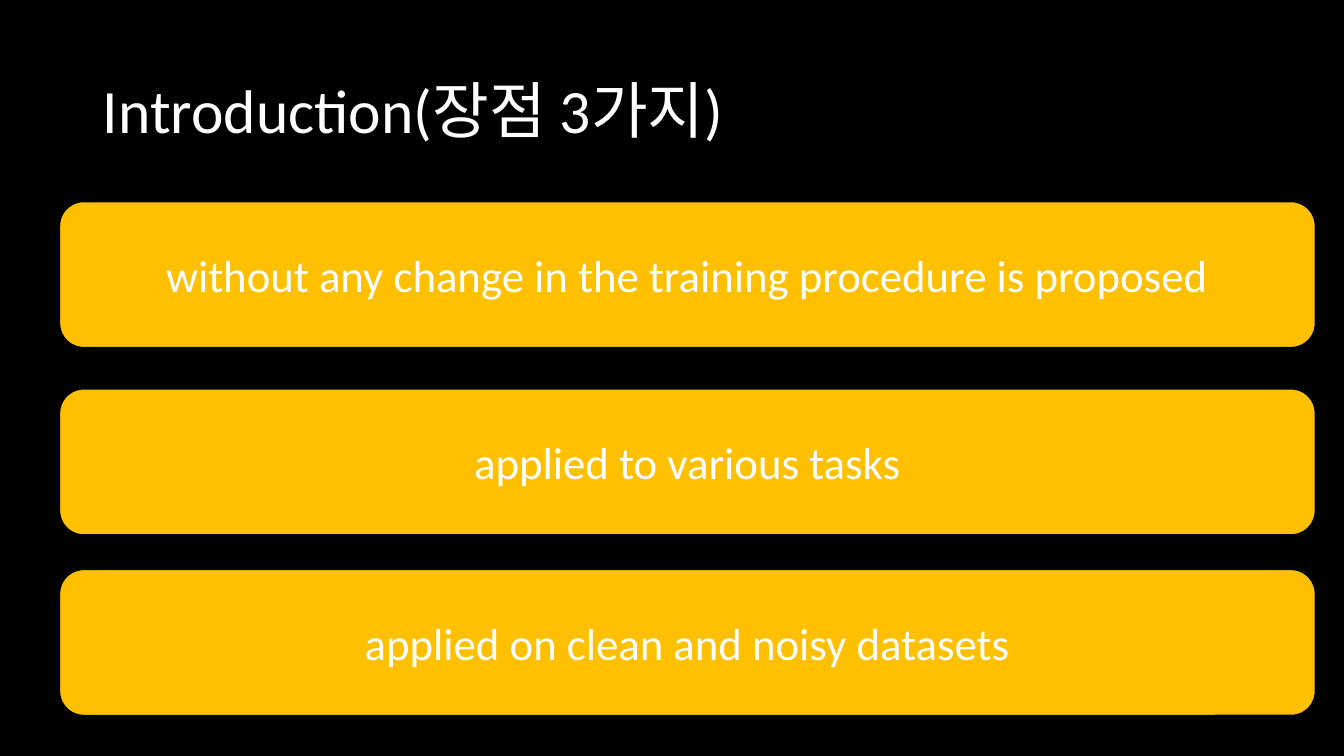
"""Build the introduction slide with its three advantage cards."""
from dataclasses import dataclass

from pptx import Presentation
from pptx import util as u
from pptx.dml.color import RGBColor
from pptx.enum import shapes, text

COLOURS = {"background": "000000", "card": "FFC000", "outline": "000000", "text": "FFFFFF"}
CARD_LEFT, CARD_WIDTH, CARD_HEIGHT = 1.5, 31.65, 3.68


@dataclass(frozen=True)
class Card:
    top: float
    wording: str


CARDS = [
    Card(5.08, "without any change in the training procedure is proposed"),
    Card(9.8, "applied to various tasks"),
    Card(14.35, "applied on clean and noisy datasets"),
]


def colour(name: str) -> RGBColor:
    return RGBColor.from_string(COLOURS[name])


def apply(target, values: dict) -> None:
    for name, value in values.items():
        setattr(target, name, value)


def write(shape, wording: str, size: int, paragraph_format: dict) -> None:
    frame = shape.text_frame
    apply(frame, {
        "text": wording,
        "word_wrap": True,
        "auto_size": text.MSO_AUTO_SIZE.NONE,
        "vertical_anchor": text.MSO_ANCHOR.MIDDLE,
    })
    paragraph = frame.paragraphs[0]
    apply(paragraph, paragraph_format)
    font = paragraph.runs[0].font
    apply(font, {"name": "Calibri", "size": u.Pt(size)})
    font.color.rgb = colour("text")


def add_title(slide, wording: str) -> None:
    title = slide.shapes.title
    apply(title, {
        "left": u.Cm(2.34),
        "top": u.Cm(1.02),
        "width": u.Cm(29.21),
        "height": u.Cm(3.68),
    })
    write(title, wording, 44, {"alignment": text.PP_ALIGN.LEFT, "line_spacing": 0.9})


def add_card(slide, card: Card) -> None:
    shape = slide.shapes.add_shape(
        shapes.MSO_SHAPE.ROUNDED_RECTANGLE,
        u.Cm(CARD_LEFT), u.Cm(card.top), u.Cm(CARD_WIDTH), u.Cm(CARD_HEIGHT),
    )
    shape.shadow.inherit = False
    shape.fill.solid()
    shape.fill.fore_color.rgb = colour("card")
    shape.line.color.rgb = colour("outline")
    shape.line.width = u.Pt(1)
    write(shape, card.wording, 32, {"alignment": text.PP_ALIGN.CENTER})


def main() -> None:
    presentation = Presentation()
    apply(presentation, {"slide_width": u.Cm(33.87), "slide_height": u.Cm(19.05)})
    slide = presentation.slides.add_slide(presentation.slide_layouts.get_by_name("Title Only"))
    slide.background.fill.solid()
    slide.background.fill.fore_color.rgb = colour("background")
    add_title(slide, "Introduction(장점 3가지)")
    for card in CARDS:
        add_card(slide, card)
    presentation.save("out.pptx")


if __name__ == "__main__":
    main()
